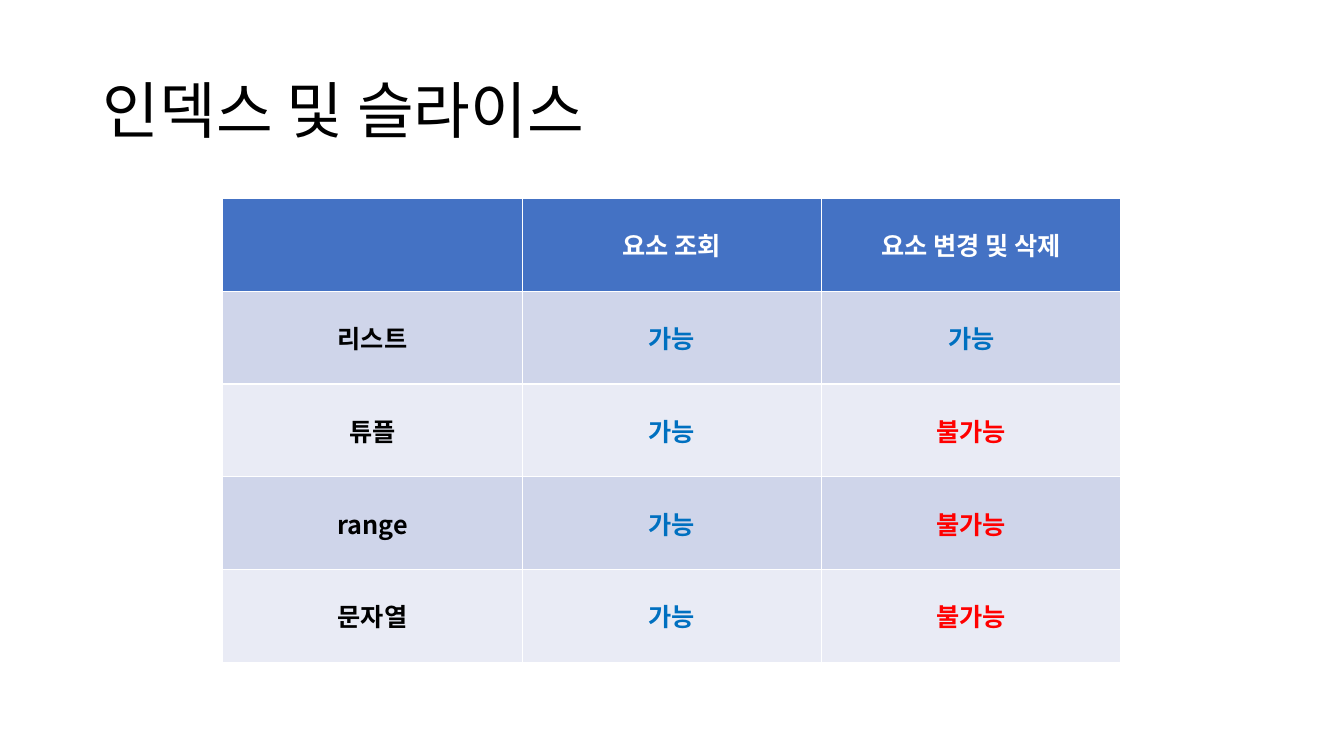
from dataclasses import dataclass

from lxml.etree import SubElement
from pptx import Presentation
from pptx.dml.color import RGBColor
from pptx.enum.text import MSO_ANCHOR as Anchor, PP_ALIGN as Align
from pptx.oxml.ns import qn
from pptx.util import Emu, Pt

EMU_PER_PX = 9144
FONT = "Noto Sans CJK KR"
BLACK, WHITE = "000000", "FFFFFF"
HEADER_FILL = "4472C4"
BAND_FILLS = ("CFD5EA", "E9EBF5")
ANSWER_COLORS = {True: "0070C0", False: "FF0000"}
ANSWER_WORDS = {True: "가능", False: "불가능"}
HEADINGS = ("", "요소 조회", "요소 변경 및 삭제")
COLUMN_WIDTH, ROW_HEIGHT = 297, 92


@dataclass(frozen=True)
class SequenceType:
    name: str
    readable: bool
    editable: bool


SEQUENCE_TYPES = (
    SequenceType("리스트", True, True),
    SequenceType("튜플", True, False),
    SequenceType("range", True, False),
    SequenceType("문자열", True, False),
)


def px(length: int) -> Emu:
    return Emu(length * EMU_PER_PX)


def color(hex_code: str) -> RGBColor:
    return RGBColor.from_string(hex_code)


def style_para(para, size: int, hex_code: str, bold: bool, align: Align) -> None:
    para.alignment = align
    font = para.font
    font.size, font.bold, font.name = Pt(size), bold, FONT
    font.color.rgb = color(hex_code)
    defaults = para._p.pPr.find(qn("a:defRPr"))
    SubElement(defaults, qn("a:ea")).set("typeface", FONT)


def add_title(slide, text: str) -> None:
    title = slide.shapes.title
    title.left, title.top, title.width, title.height = map(px, (92, 40, 575, 145))
    frame = title.text_frame
    frame.text = text
    frame.word_wrap = True
    frame.vertical_anchor = Anchor.MIDDLE
    para = frame.paragraphs[0]
    para.line_spacing = 0.9
    style_para(para, 44, BLACK, False, Align.LEFT)


def fill_cell(cell, text: str, text_color: str, fill: str) -> None:
    cell.fill.solid()
    cell.fill.fore_color.rgb = color(fill)
    cell.vertical_anchor = Anchor.MIDDLE
    cell.text = text
    style_para(cell.text_frame.paragraphs[0], 18, text_color, True, Align.CENTER)


def add_sequence_table(slide) -> None:
    row_count, column_count = len(SEQUENCE_TYPES) + 1, len(HEADINGS)
    table = slide.shapes.add_table(
        row_count, column_count, px(221), px(197),
        px(COLUMN_WIDTH * column_count), px(ROW_HEIGHT * row_count),
    ).table
    for column, heading in enumerate(HEADINGS):
        fill_cell(table.cell(0, column), heading, WHITE, HEADER_FILL)
    for row, sequence in enumerate(SEQUENCE_TYPES, start=1):
        fill = BAND_FILLS[(row - 1) % 2]
        fill_cell(table.cell(row, 0), sequence.name, BLACK, fill)
        for column, answer in enumerate((sequence.readable, sequence.editable), start=1):
            fill_cell(table.cell(row, column), ANSWER_WORDS[answer], ANSWER_COLORS[answer], fill)


def main() -> None:
    deck = Presentation()
    deck.slide_width, deck.slide_height = px(1333), px(750)
    slide = deck.slides.add_slide(deck.slide_layouts[5])
    add_title(slide, "인덱스 및 슬라이스")
    add_sequence_table(slide)
    deck.save("out.pptx")


if __name__ == "__main__":
    main()
